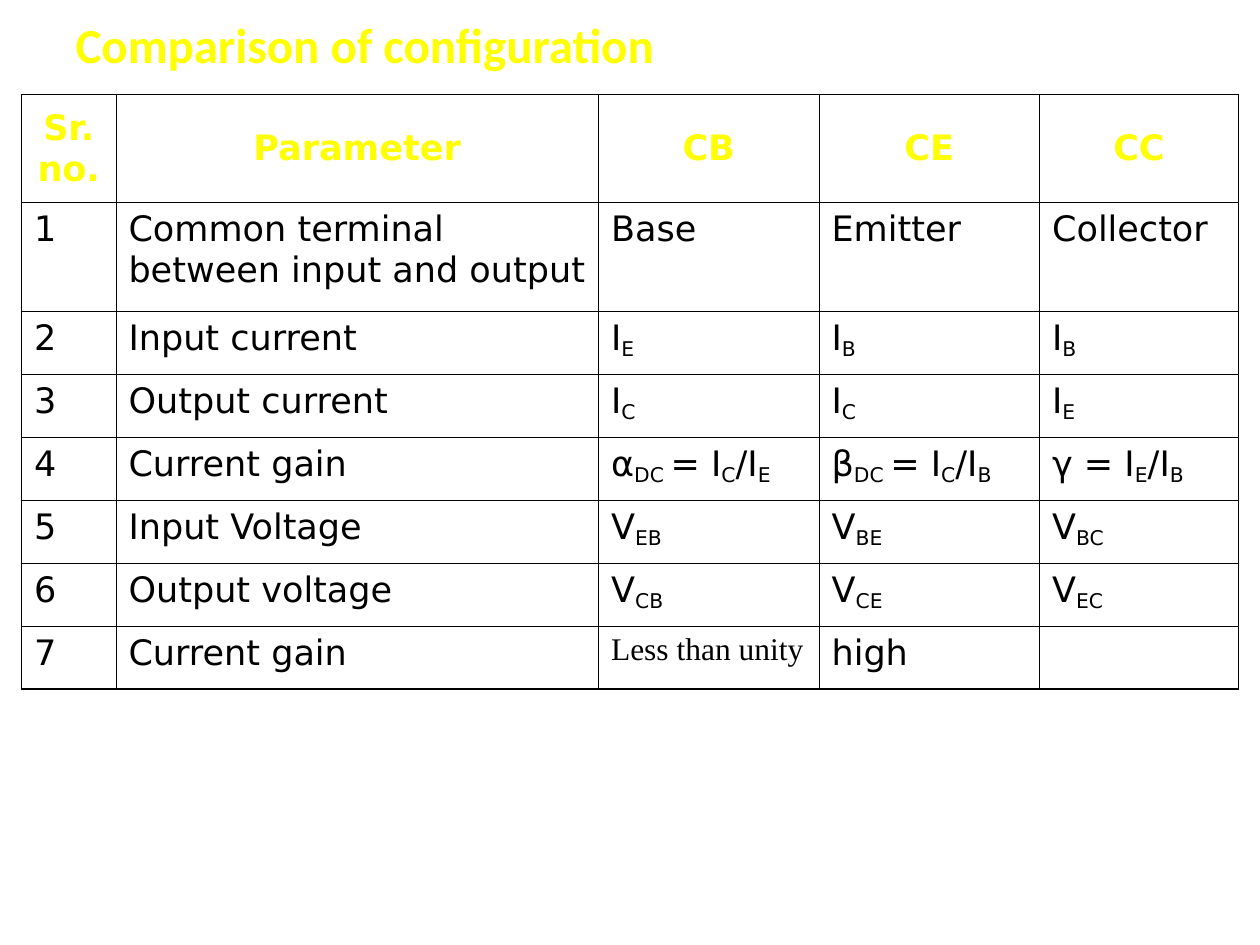
from dataclasses import dataclass

from lxml.etree import SubElement
from pptx import Presentation
from pptx.dml.color import RGBColor
from pptx.enum.text import MSO_ANCHOR, PP_ALIGN
from pptx.oxml.ns import qn
from pptx.util import Inches, Pt


@dataclass(frozen=True)
class TextStyle:
    name: str
    size: int
    color: str
    bold: bool = False


@dataclass(frozen=True)
class Theme:
    title: TextStyle = TextStyle("Calibri", 28, "FFFF00", True)
    header: TextStyle = TextStyle("DejaVu Sans", 20, "FFFF00", True)
    body: TextStyle = TextStyle("DejaVu Sans", 20, "000000")
    remark: TextStyle = TextStyle("Times New Roman", 18, "000000")
    line: str = "000000"
    inner: float = 0.45
    outer: float = 1.08
    subscript: str = "-18000"


THEME = Theme()
REMARK = "Less than unity"
COLS = [0.75, 3.83, 1.75, 1.75, 1.58]
ROWS = [0.86] * 2 + [0.5] * 6

# Text between a pair of ~ marks is subscript
DATA = [
    ["Sr.no.", "Parameter", "CB", "CE", "CC"],
    ["1", "Common terminal between input and output", "Base", "Emitter", "Collector"],
    ["2", "Input current", "I~E~", "I~B~", "I~B~"],
    ["3", "Output current", "I~C~", "I~C~", "I~E~"],
    ["4", "Current gain", "α~DC ~= I~C~/I~E~", "β~DC ~= I~C~/I~B~", "γ = I~E~/I~B~"],
    ["5", "Input Voltage", "V~EB~", "V~BE~", "V~BC~"],
    ["6", "Output voltage", "V~CB~", "V~CE~", "V~EC~"],
    ["7", "Current gain", REMARK, "high", ""],
]


def write(p, text: str, style: TextStyle) -> None:
    """Fill a paragraph, turning marked pieces into subscripts."""
    for i, piece in enumerate(text.split("~")):
        if not piece:
            continue
        r = p.add_run()
        r.text = piece
        formats = {"name": style.name, "size": Pt(style.size), "bold": style.bold}
        for key, value in formats.items():
            setattr(r.font, key, value)
        r.font.color.rgb = RGBColor.from_string(style.color)
        if i % 2:
            r._r.get_or_add_rPr().set("baseline", THEME.subscript)


def draw_borders(cell, row: int, col: int) -> None:
    """Heavy lines on the table's edge, thin ones inside."""
    on_edge = {
        "a:lnL": col == 0,
        "a:lnR": col == len(COLS) - 1,
        "a:lnT": row == 0,
        "a:lnB": row == len(ROWS) - 1,
    }
    tc_pr = cell._tc.get_or_add_tcPr()
    for tag, edge in on_edge.items():
        width = THEME.outer if edge else THEME.inner
        ln = SubElement(tc_pr, qn(tag), w=str(int(Pt(width))))
        fill = SubElement(ln, qn("a:solidFill"))
        SubElement(fill, qn("a:srgbClr"), val=THEME.line)


def add_title(s, text: str) -> None:
    title = s.shapes.title
    box = {"left": 0.5, "top": 0.08, "width": 9, "height": 0.53}
    for key, value in box.items():
        setattr(title, key, Inches(value))
    tf = title.text_frame
    tf.word_wrap = True
    tf.vertical_anchor = MSO_ANCHOR.MIDDLE
    p = tf.paragraphs[0]
    p.alignment = PP_ALIGN.LEFT
    write(p, text, THEME.title)


def add_comparison(s) -> None:
    table = s.shapes.add_table(
        len(ROWS), len(COLS), Inches(0.17), Inches(0.75),
        Inches(sum(COLS)), Inches(sum(ROWS)),
    ).table
    table.first_row = table.horz_banding = False
    for column, width in zip(table.columns, COLS):
        column.width = Inches(width)
    for row, height in zip(table.rows, ROWS):
        row.height = Inches(height)

    for i, values in enumerate(DATA):
        for j, text in enumerate(values):
            cell = table.cell(i, j)
            draw_borders(cell, i, j)
            cell.fill.background()
            p = cell.text_frame.paragraphs[0]
            style = THEME.remark if text == REMARK else THEME.body
            if i == 0:
                style = THEME.header
                cell.vertical_anchor = MSO_ANCHOR.MIDDLE
                p.alignment = PP_ALIGN.CENTER
            write(p, text, style)


def main() -> None:
    prs = Presentation()
    prs.slide_width, prs.slide_height = Inches(10), Inches(7.5)
    s = prs.slides.add_slide(prs.slide_layouts[5])  # title only
    add_title(s, "Comparison of configuration")
    add_comparison(s)
    prs.save("out.pptx")


if __name__ == "__main__":
    main()
